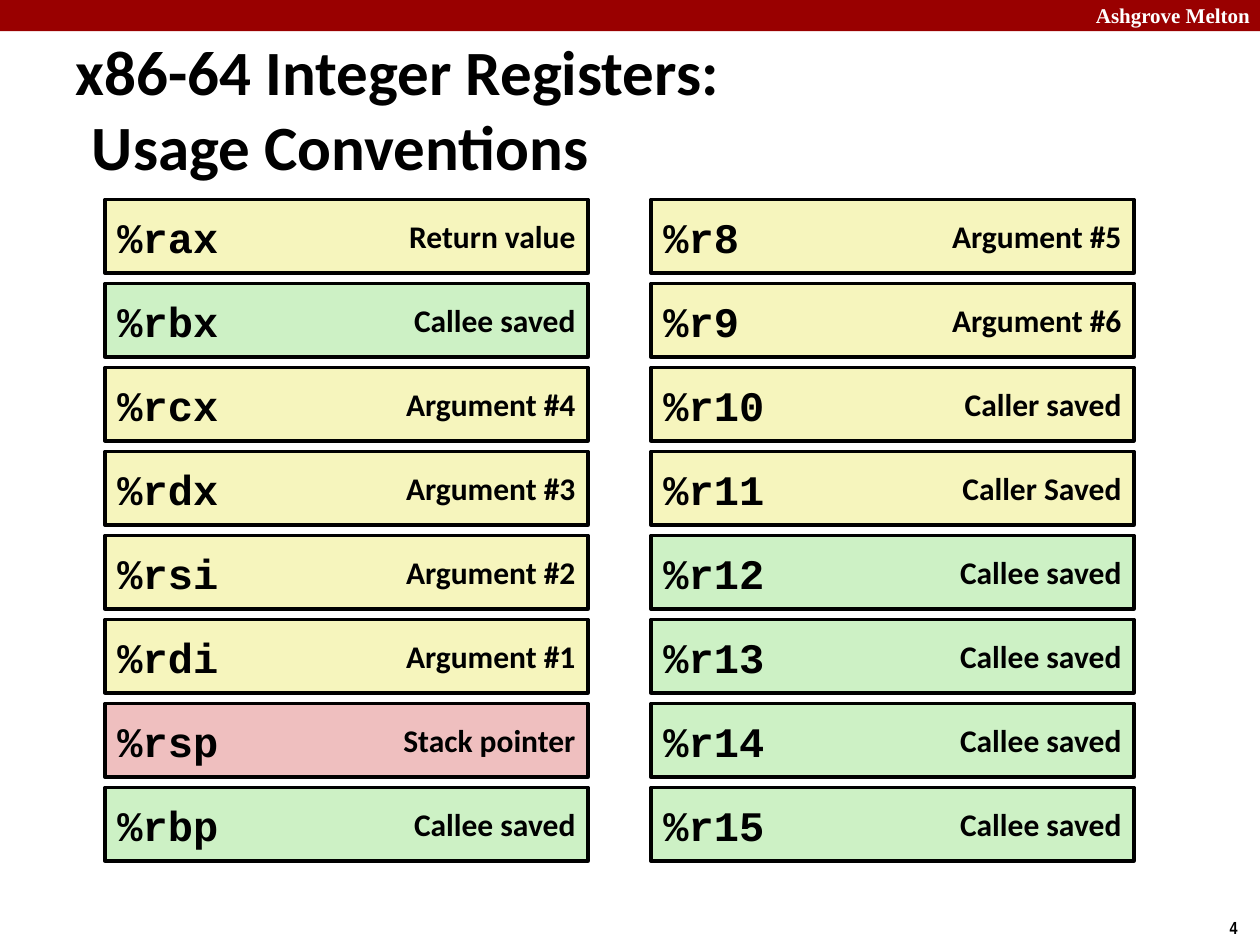
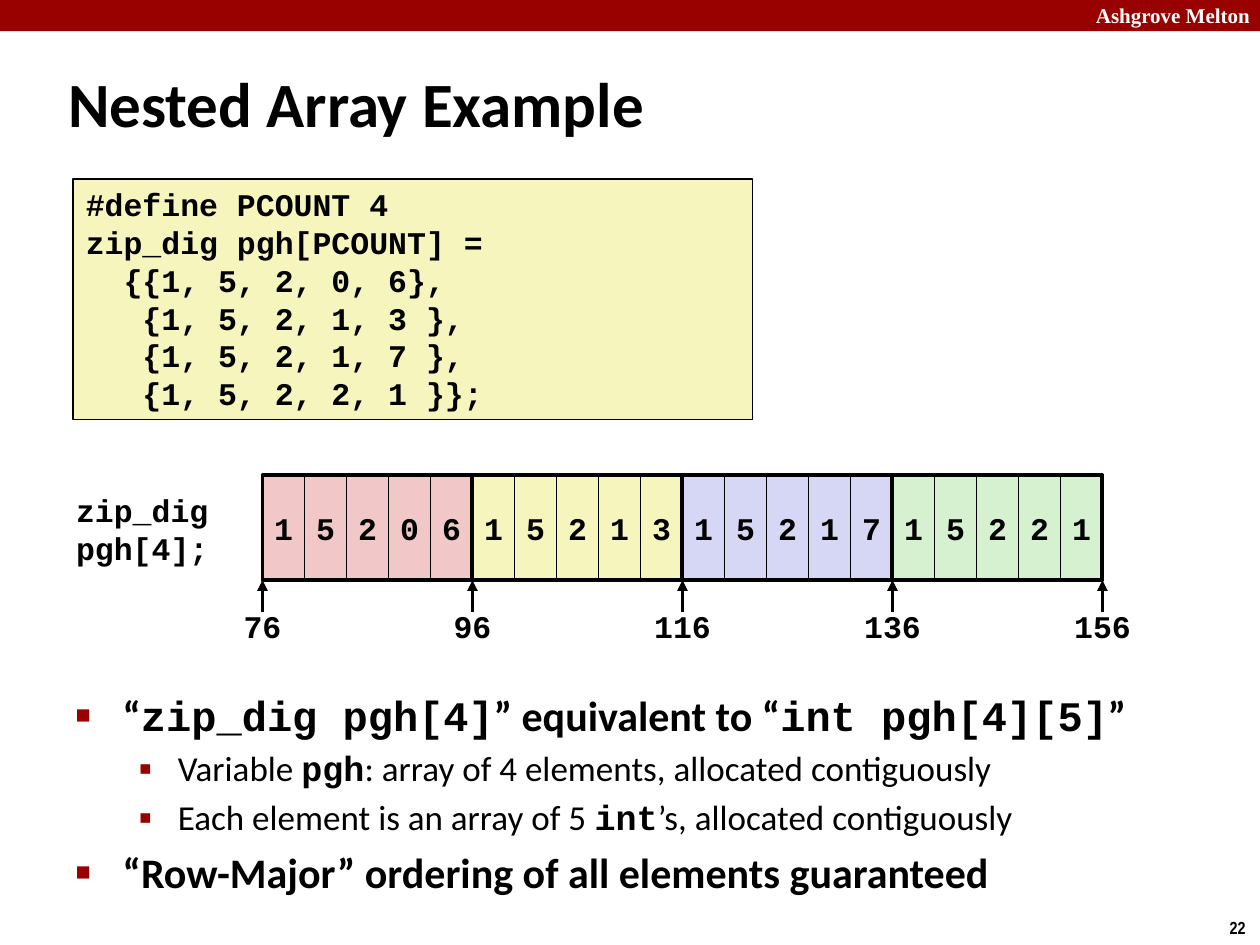
from lxml import etree
from pptx import Presentation
from pptx.dml.color import RGBColor
from pptx.enum.shapes import MSO_CONNECTOR as CONN, MSO_SHAPE as SHAPE
from pptx.enum.text import MSO_ANCHOR as ANCHOR, MSO_AUTO_SIZE as FIT, PP_ALIGN as ALIGN
from pptx.oxml.ns import qn
from pptx.util import Cm, Pt

# Shared style
WIDTH, HEIGHT = 25.4, 19.05
UNIT = WIDTH / 30  # grid module, in cm
RED, BLACK, WHITE = "990000", "000000", "FFFFFF"
YELLOW, GREEN, PINK = "F6F5BD", "CDF1C5", "EFBFBF"
ORG = "Ashgrove Melton"

TITLE = dict(name="Calibri", size=Pt(36), bold=True, color=BLACK)
LABEL = dict(TITLE, size=Pt(18))
CODE = dict(LABEL, name="Courier New")
REGISTER = dict(CODE, size=Pt(24))
BAND = dict(name="Times New Roman", size=Pt(12), bold=True, color=WHITE)
PAGE = dict(name="Arial Narrow", size=Pt(10), bold=True, color=BLACK)

# Per list level: text size, bold, left margin, hanging indent, bullet, bullet size
LEVELS = [
    (24, True, 0.95, -0.95, "■", 60),
    (20, False, 2.06, -0.79, "▪", 110),
]


def rgb(value):
    return RGBColor.from_string(value)


def child(parent, tag, **attrs):
    return etree.SubElement(parent, qn(tag), attrs)


class Deck:
    """Holds the style and the current slide."""

    def __init__(self):
        self.prs = Presentation()
        self.prs.slide_width, self.prs.slide_height = Cm(WIDTH), Cm(HEIGHT)

    def new_slide(self, layout, page):
        self.slide = self.prs.slides.add_slide(self.prs.slide_layouts[layout])
        self.shapes = self.slide.shapes
        self.box(0, 0, WIDTH, 0.63, fill=RED)
        self.label(20.4, -0.08, 5, 0.76, [ORG], BAND, ALIGN.RIGHT, margin_right=Cm(0.2))
        self.label(24.54, 18.36, 0.86, 0.69, [str(page)], PAGE, margin_right=0)

    def style(self, run, fmt):
        for key, value in fmt.items():
            if key == "color":
                run.font.color.rgb = rgb(value)
            else:
                setattr(run.font, key, value)

    def set_text(self, tf, lines, fmt, align=ALIGN.LEFT, **frame):
        for key, value in dict(word_wrap=True, **frame).items():
            setattr(tf, key, value)
        for i, line in enumerate(lines):
            p = tf.paragraphs[0] if i == 0 else tf.add_paragraph()
            p.text, p.alignment = line, align
            for r in p.runs:
                self.style(r, fmt)

    def box(self, x, y, w, h, fill=None, line=0, parent=None):
        shapes = parent.shapes if parent else self.shapes
        sp = shapes.add_shape(SHAPE.RECTANGLE, Cm(x), Cm(y), Cm(w), Cm(h))
        sp.shadow.inherit = False
        if fill:
            sp.fill.solid()
            sp.fill.fore_color.rgb = rgb(fill)
        else:
            sp.fill.background()
        if line:
            sp.line.color.rgb, sp.line.width = rgb(BLACK), Pt(line)
        else:
            sp.line.fill.background()
        return sp

    def label(self, x, y, w, h, lines, fmt, align=ALIGN.LEFT, **frame):
        sp = self.shapes.add_textbox(Cm(x), Cm(y), Cm(w), Cm(h))
        self.set_text(sp.text_frame, lines, fmt, align, **frame)

    def place(self, sp, x, y, w, h):
        sp.left, sp.top, sp.width, sp.height = Cm(x), Cm(y), Cm(w), Cm(h)

    def title(self, text, x, y, w):
        sp = self.shapes.title
        self.place(sp, x, y, w, 1.6)
        self.set_text(sp.text_frame, [text], TITLE, auto_size=FIT.NONE,
                      vertical_anchor=ANCHOR.MIDDLE)
        pPr = sp.text_frame.paragraphs[0]._p.get_or_add_pPr()
        pPr.set("marL", str(Cm(0.33)))
        pPr.set("indent", str(Cm(-0.33)))

    def bullets(self, items, x, y, w, h):
        """Each item is a level and its runs; every second run is code."""
        sp = self.slide.placeholders[1]
        self.place(sp, x, y, w, h)
        tf = sp.text_frame
        tf.auto_size, tf.word_wrap = FIT.NONE, True
        for i, (level, runs) in enumerate(items):
            size, bold, margin, indent, mark, scale = LEVELS[level]
            p = tf.paragraphs[0] if i == 0 else tf.add_paragraph()
            p.level = level
            pPr = p._p.get_or_add_pPr()
            pPr.set("marL", str(Cm(margin)))
            pPr.set("indent", str(Cm(indent)))
            child(child(pPr, "a:buClr"), "a:srgbClr", val=RED)
            child(pPr, "a:buSzPct", val=str(scale * 1000))
            child(pPr, "a:buChar", char=mark)
            for j, text in enumerate(runs):
                r = p.add_run()
                r.text = text
                fmt = CODE if j % 2 else dict(LABEL, bold=bold)
                self.style(r, dict(fmt, size=Pt(size)))

    def arrow(self, x1, y1, x2, y2):
        cx = self.shapes.add_connector(CONN.STRAIGHT, Cm(x1), Cm(y1), Cm(x2), Cm(y2))
        cx.line.color.rgb, cx.line.width = rgb(BLACK), Pt(2)
        spPr = cx._element.spPr
        child(spPr.find(qn("a:ln")), "a:tailEnd", type="triangle")
        child(spPr, "a:effectLst")

    def register(self, x, y, name, usage, fill):
        w = 11.5 * UNIT
        sp = self.box(x, y, w, 1.75 * UNIT, fill, line=2)
        self.set_text(sp.text_frame, [name], REGISTER, vertical_anchor=ANCHOR.MIDDLE)
        self.label(x + w - 5, y + 0.23, 5, 1.02, [usage], LABEL, ALIGN.RIGHT)

    def array_row(self, x, y, h, digits, fill):
        group = self.shapes.add_group_shape()
        for i, digit in enumerate(digits):
            sp = self.box(x + i * UNIT, y, UNIT, h, fill, line=1, parent=group)
            self.set_text(sp.text_frame, [digit], CODE, ALIGN.CENTER, margin_left=0,
                          margin_right=0, vertical_anchor=ANCHOR.MIDDLE)


deck = Deck()

# Slide: register usage
deck.new_slide(5, 4)
deck.title("x86-64 Integer Registers:\vUsage Conventions", 1.27, 1.37, 22.23)
columns = [
    [("%rax", "Return value"), ("%rbx", "Callee saved"),
     ("%rcx", "Argument #4"), ("%rdx", "Argument #3"),
     ("%rsi", "Argument #2"), ("%rdi", "Argument #1"),
     ("%rsp", "Stack pointer"), ("%rbp", "Callee saved")],
    [("%r8", "Argument #5"), ("%r9", "Argument #6"),
     ("%r10", "Caller saved"), ("%r11", "Caller Saved"),
     ("%r12", "Callee saved"), ("%r13", "Callee saved"),
     ("%r14", "Callee saved"), ("%r15", "Callee saved")],
]
usage_fill = {"Callee saved": GREEN, "Stack pointer": PINK}
for col, registers in enumerate(columns):
    for row, (name, usage) in enumerate(registers):
        deck.register((2.5 + 13 * col) * UNIT, (4.75 + 2 * row) * UNIT,
                      name, usage, usage_fill.get(usage, YELLOW))

# Slide: nested array
deck.new_slide(1, 22)
deck.title("Nested Array Example", 1.12, 1.27, 17.7)
deck.bullets([
    (0, ["“", "zip_dig pgh[4]", "” equivalent to “", "int pgh[4][5]", "”"]),
    (1, ["Variable ", "pgh", ": array of 4 elements, allocated contiguously"]),
    (1, ["Each element is an array of 5 ", "int", "’s, allocated contiguously"]),
    (0, ["“Row-Major” ordering of all elements guaranteed"]),
], 1.27, 13.77, 22.23, 5.28)

# Declaration
code = deck.box(1.48, 3.61, 13.69, 4.85, YELLOW, line=1)
deck.set_text(code.text_frame, [
    "#define PCOUNT 4",
    "zip_dig pgh[PCOUNT] =",
    "  {{1, 5, 2, 0, 6},",
    "   {1, 5, 2, 1, 3 },",
    "   {1, 5, 2, 1, 7 },",
    "   {1, 5, 2, 2, 1 }};",
], CODE, vertical_anchor=ANCHOR.TOP)
deck.label(0.95, 9.78, 3.5, 1.78, ["zip_dig", "pgh[4];"], CODE, ALIGN.RIGHT)

# Memory layout: addresses, cells, row frames
left, top, cell_h, row_w = 6.25 * UNIT, 9.58, 2.5 * UNIT, 5 * UNIT
bottom = top + cell_h
for i, address in enumerate(range(76, 157, 20)):
    x = left + i * row_w
    deck.arrow(x, bottom + 0.64, x, bottom)
    deck.label(x - 1, 12.12, 2, 1.02, [str(address)], CODE, ALIGN.CENTER)
array_rows = [("15206", "F1C7C7"), ("15213", YELLOW), ("15217", "D6D6F5"), ("15221", "D5F1CF")]
for i, (digits, fill) in enumerate(array_rows):
    deck.array_row(left + i * row_w, top, cell_h, digits, fill)
for i in range(len(array_rows)):
    deck.box(left + i * row_w, top, row_w, cell_h, line=2.25)

deck.prs.save("out.pptx")
